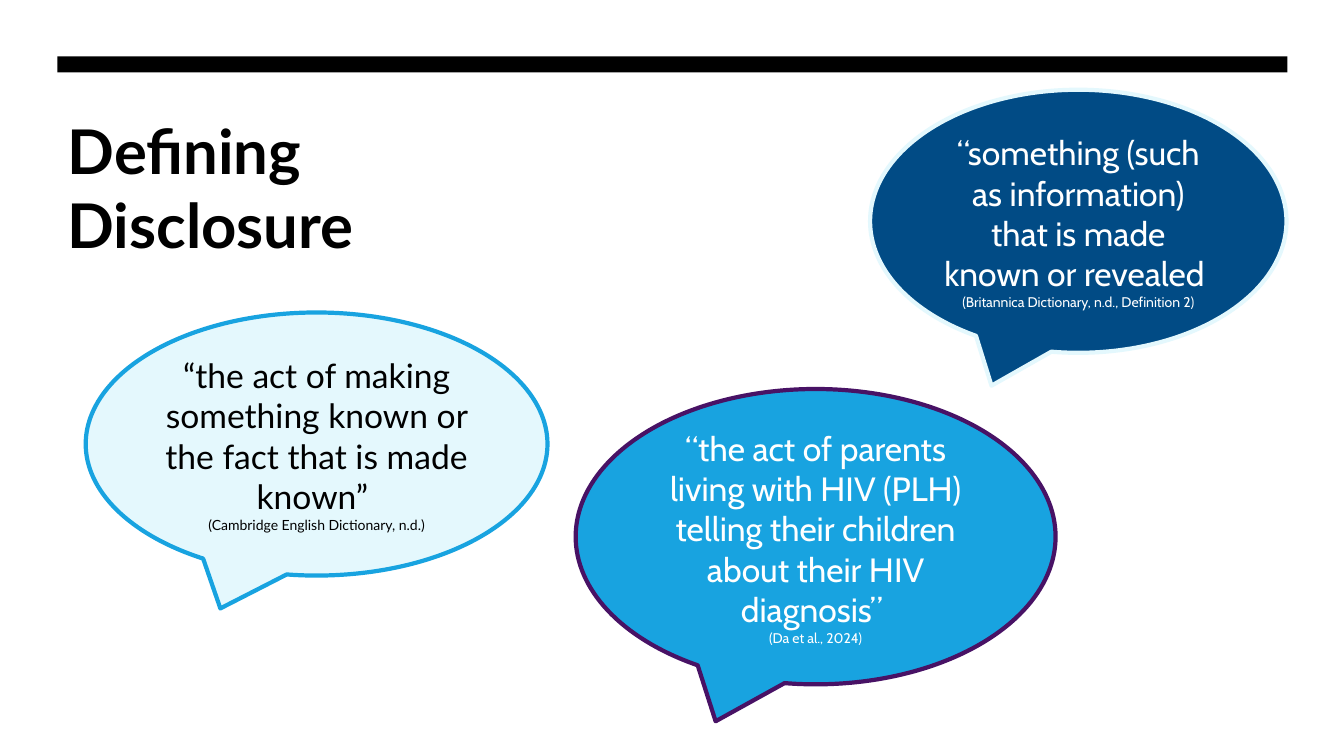
from pptx import Presentation
from pptx import util as u
from pptx.dml.color import RGBColor
from pptx.enum import shapes, text

WHITE, BLACK = "FFFFFF", "000000"
NAVY, BLUE, PALE, PURPLE = "014B85", "18A3E0", "E4F8FD", "481265"

DEFINITIONS = [
    ((8.63, 0.89, 4.13, 2.61), NAVY, PALE, "Cabin", WHITE,
     "“something (such as information) that is made known or revealed ",
     "(Britannica Dictionary, n.d., Definition 2)"),
    ((5.71, 3.86, 4.76, 2.93), BLUE, PURPLE, "Cabin", WHITE,
     "“the act of parents living with HIV (PLH) telling their children about their HIV diagnosis” ",
     "(Da et al., 2024)"),
    ((0.85, 3.1, 4.58, 2.61), PALE, BLUE, "Lato", BLACK,
     "“the act of making something known or the fact that is made known” ",
     "(Cambridge English Dictionary, n.d.)"),
]


def rgb(value):
    return RGBColor.from_string(value)


def place(box):
    return [u.Inches(length) for length in box]


def set_all(target, values):
    for key, value in values.items():
        setattr(target, key, value)


def format_text(paragraph, align, color, size, **font):
    paragraph.alignment = align
    set_all(paragraph.font, {"size": u.Pt(size), **font})
    paragraph.font.color.rgb = rgb(color)


def fill_shape(shape, color):
    shape.shadow.inherit = False
    shape.fill.solid()
    shape.fill.fore_color.rgb = rgb(color)


def add_title(slide, wording):
    title = slide.shapes.title
    left, top, width, height = place((0.57, 1.07, 3.72, 3.61))
    set_all(title, {"left": left, "top": top, "width": width, "height": height})
    frame = title.text_frame
    frame.text = wording
    set_all(frame, {"word_wrap": True, "vertical_anchor": text.MSO_ANCHOR.TOP,
                    "auto_size": text.MSO_AUTO_SIZE.NONE})
    format_text(frame.paragraphs[0], text.PP_ALIGN.LEFT, BLACK, 44, name="Lato", bold=True)


def add_rule(slide):
    rule = slide.shapes.add_shape(shapes.MSO_SHAPE.RECTANGLE, *place((0.57, 0.56, 12.2, 0.16)))
    fill_shape(rule, BLACK)
    rule.line.fill.background()


def add_definition(slide, box, fill, outline, font, color, quote, citation):
    bubble = slide.shapes.add_shape(shapes.MSO_SHAPE.OVAL_CALLOUT, *place(box))
    fill_shape(bubble, fill)
    bubble.line.color.rgb = rgb(outline)
    bubble.line.width = u.Pt(3)
    frame = bubble.text_frame
    set_all(frame, {"word_wrap": True, "vertical_anchor": text.MSO_ANCHOR.MIDDLE})
    frame.text = f"{quote}\n{citation}"
    for paragraph, size in zip(frame.paragraphs, (24, 10)):
        format_text(paragraph, text.PP_ALIGN.CENTER, color, size, name=font)


def main():
    deck = Presentation()
    set_all(deck, {"slide_width": u.Inches(13.33), "slide_height": u.Inches(7.5)})
    slide = deck.slides.add_slide(deck.slide_layouts[5])
    add_title(slide, "Defining Disclosure")
    add_rule(slide)
    for definition in DEFINITIONS:
        add_definition(slide, *definition)
    deck.save("out.pptx")


if __name__ == "__main__":
    main()
